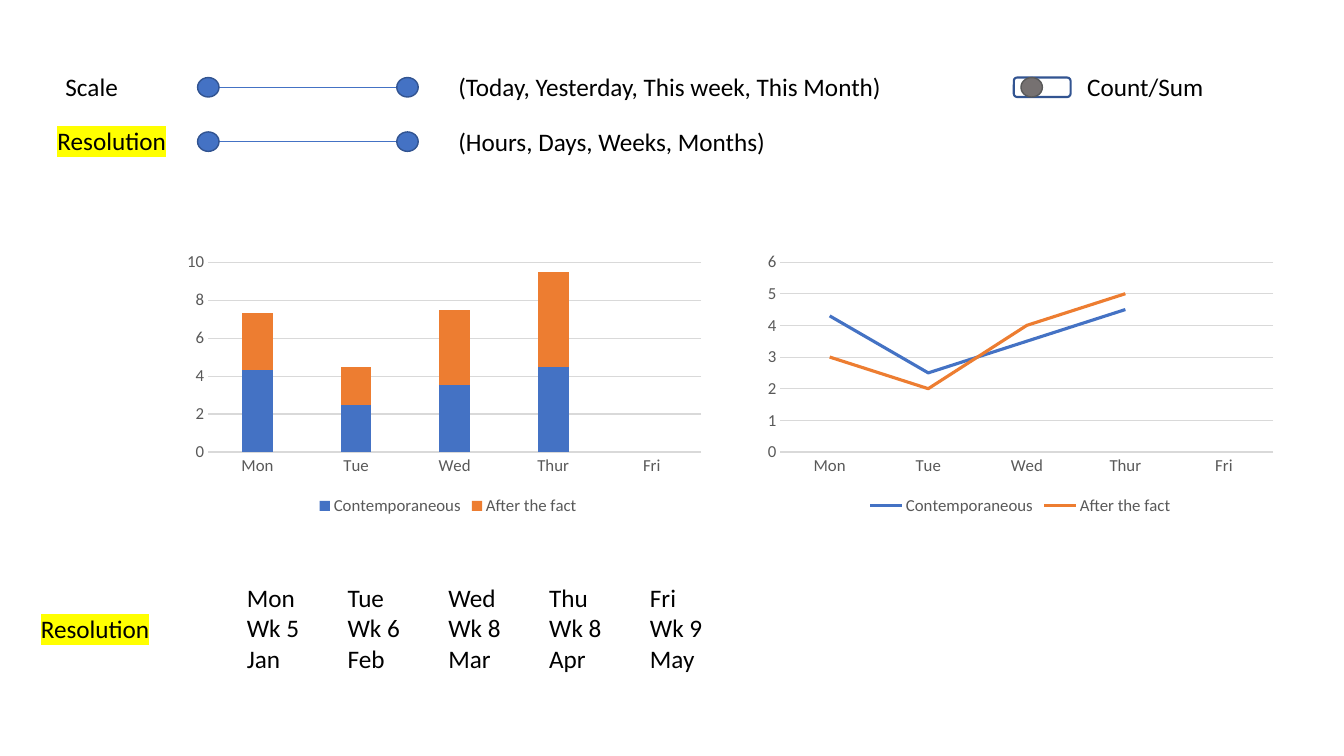
from dataclasses import dataclass

from lxml import etree
from pptx import Presentation
from pptx.chart.data import CategoryChartData
from pptx.dml.color import RGBColor
from pptx.enum.chart import XL_CHART_TYPE, XL_LEGEND_POSITION, XL_TICK_MARK
from pptx.enum.shapes import MSO_CONNECTOR, MSO_SHAPE
from pptx.enum.text import MSO_AUTO_SIZE
from pptx.oxml import parse_xml
from pptx.oxml.ns import nsdecls, qn
from pptx.util import Cm, Pt

STACKED = XL_CHART_TYPE.COLUMN_STACKED
LINE = XL_CHART_TYPE.LINE
LEGEND_BOTTOM = XL_LEGEND_POSITION.BOTTOM
NO_TICK = XL_TICK_MARK.NONE
OVAL = MSO_SHAPE.OVAL
ROUNDED = MSO_SHAPE.ROUNDED_RECTANGLE
STRAIGHT = MSO_CONNECTOR.STRAIGHT
FIT_SHAPE = MSO_AUTO_SIZE.SHAPE_TO_FIT_TEXT


@dataclass(frozen=True)
class Theme:
    font: str = "Calibri"
    text_size: int = 18
    chart_size: int = 12
    black: str = "000000"
    white: str = "FFFFFF"
    blue: str = "4472C4"
    dark_blue: str = "325491"
    orange: str = "ED7D31"
    knob: str = "767171"
    gray: str = "595959"
    grid: str = "D9D9D9"
    yellow: str = "FFFF00"


theme = Theme()
presentation = Presentation()
presentation.slide_width = Cm(33.87)
presentation.slide_height = Cm(19.05)
slide = presentation.slides.add_slide(presentation.slide_layouts[6])


def add_text(text, left, top, width, height=1.03, wrap=False, highlight=None, tab_gap=None):
    box = slide.shapes.add_textbox(Cm(left), Cm(top), Cm(width), Cm(height))
    frame = box.text_frame
    frame.word_wrap = wrap
    frame.auto_size = FIT_SHAPE
    for index, line in enumerate(text.split("\n")):
        paragraph = frame.paragraphs[0] if index == 0 else frame.add_paragraph()
        run = paragraph.add_run()
        run.text = line
        run.font.name = theme.font
        run.font.size = Pt(theme.text_size)
        run.font.color.rgb = RGBColor.from_string(theme.black)
        if tab_gap:
            properties = paragraph._p.get_or_add_pPr()
            properties.set("defTabSz", str(Cm(tab_gap)))
            tab_list = etree.SubElement(properties, qn("a:tabLst"))
            for stop in range(1, line.count("\t") + 1):
                tab = etree.SubElement(tab_list, qn("a:tab"))
                tab.set("pos", str(Cm(tab_gap * stop)))
                tab.set("algn", "l")
        if highlight:
            mark = parse_xml(
                f'<a:highlight {nsdecls("a")}><a:srgbClr val="{highlight}"/></a:highlight>'
            )
            run.font._element.find(qn("a:solidFill")).addnext(mark)


def add_control(kind, left, center, width, fill, line, weight=1):
    height = 0.49
    shape = slide.shapes.add_shape(
        kind, Cm(left), Cm(center - height / 2), Cm(width), Cm(height)
    )
    shape.shadow.inherit = False
    shape.fill.solid()
    shape.fill.fore_color.rgb = RGBColor.from_string(fill)
    shape.line.color.rgb = RGBColor.from_string(line)
    shape.line.width = Pt(weight)


days = ["Mon", "Tue", "Wed", "Thur", "Fri"]
series_rows = [
    ("Contemporaneous", [4.3, 2.5, 3.5, 4.5, None], theme.blue),
    ("After the fact", [3, 2, 4, 5, None], theme.orange),
]
plot_area = {"x": 0.055, "y": 0.049, "w": 0.914, "h": 0.701}

for chart_type, left in [(STACKED, 4.5), (LINE, 18.92)]:
    data = CategoryChartData()
    data.categories = days
    for name, values, color in series_rows:
        data.add_series(name, values)
    chart = slide.shapes.add_chart(
        chart_type, Cm(left), Cm(6.27), Cm(13.59), Cm(6.83), data
    ).chart
    chart.has_title = False
    chart.font.name = theme.font
    chart.font.size = Pt(theme.chart_size)
    chart.font.color.rgb = RGBColor.from_string(theme.gray)
    chart.has_legend = True
    chart.legend.position = LEGEND_BOTTOM
    chart.legend.include_in_layout = False

    for axis in (chart.category_axis, chart.value_axis):
        axis.major_tick_mark = NO_TICK
        axis.minor_tick_mark = NO_TICK
    chart.category_axis.format.line.color.rgb = RGBColor.from_string(theme.grid)
    chart.category_axis.format.line.width = Pt(0.75)
    chart.value_axis.format.line.fill.background()
    chart.value_axis.has_major_gridlines = True
    grid_line = chart.value_axis.major_gridlines.format.line
    grid_line.color.rgb = RGBColor.from_string(theme.grid)
    grid_line.width = Pt(0.75)

    plot = chart.plots[0]
    plot.vary_by_categories = False
    if chart_type == STACKED:
        plot.gap_width = 219
        plot.overlap = 100
    for series, (name, values, color) in zip(plot.series, series_rows):
        if chart_type == STACKED:
            series.format.fill.solid()
            series.format.fill.fore_color.rgb = RGBColor.from_string(color)
        else:
            series.smooth = False
            series.format.line.color.rgb = RGBColor.from_string(color)
            series.format.line.width = Pt(2.25)

    plot_element = chart._chartSpace.chart.plotArea
    for old_layout in plot_element.findall(qn("c:layout")):
        plot_element.remove(old_layout)
    layout = parse_xml(f'<c:layout {nsdecls("c")}><c:manualLayout/></c:layout>')
    settings = [("layoutTarget", "inner"), ("xMode", "edge"), ("yMode", "edge")]
    for tag, value in settings + list(plot_area.items()):
        etree.SubElement(layout[0], qn(f"c:{tag}")).set("val", str(value))
    plot_element.insert(0, layout)

knob_width = 0.54
slider_left, slider_right = 4.98, 10.0
scale_center, resolution_center = 2.2, 3.57
for center in (scale_center, resolution_center):
    track = slide.shapes.add_connector(
        STRAIGHT, Cm(slider_left + knob_width), Cm(center), Cm(slider_right), Cm(center)
    )
    track.line.color.rgb = RGBColor.from_string(theme.blue)
    track.line.width = Pt(0.5)
    etree.SubElement(track._element.spPr, qn("a:effectLst"))
    for left in (slider_right, slider_left):
        add_control(OVAL, left, center, knob_width, theme.blue, theme.dark_blue)

add_control(ROUNDED, 25.55, scale_center, 1.43, theme.white, theme.dark_blue, weight=1.5)
add_control(OVAL, 25.73, scale_center, knob_width, theme.knob, theme.gray)

add_text("Scale", 1.4, 1.68, 1.85)
add_text("Resolution", 1.2, 3.03, 3.28, highlight=theme.yellow)
add_text("(Today, Yesterday, This week, This Month)", 11.3, 1.67, 11.28)
add_text("(Hours, Days, Weeks, Months)", 11.3, 3.06, 8.33)
add_text("Count/Sum", 27.15, 1.68, 3.48)
add_text("Resolution", 0.78, 15.32, 3.28, highlight=theme.yellow)

period_rows = [
    ["Mon", "Tue", "Wed", "Thu", "Fri"],
    ["Wk 5", "Wk 6", "Wk 8", "Wk 8", "Wk 9"],
    ["Jan", "Feb", "Mar", "Apr", "May"],
]
periods = "\n".join("\t".join(row) for row in period_rows)
add_text(periods, 5.97, 14.55, 12.65, height=2.57, wrap=True, tab_gap=2.54)

presentation.save("out.pptx")
